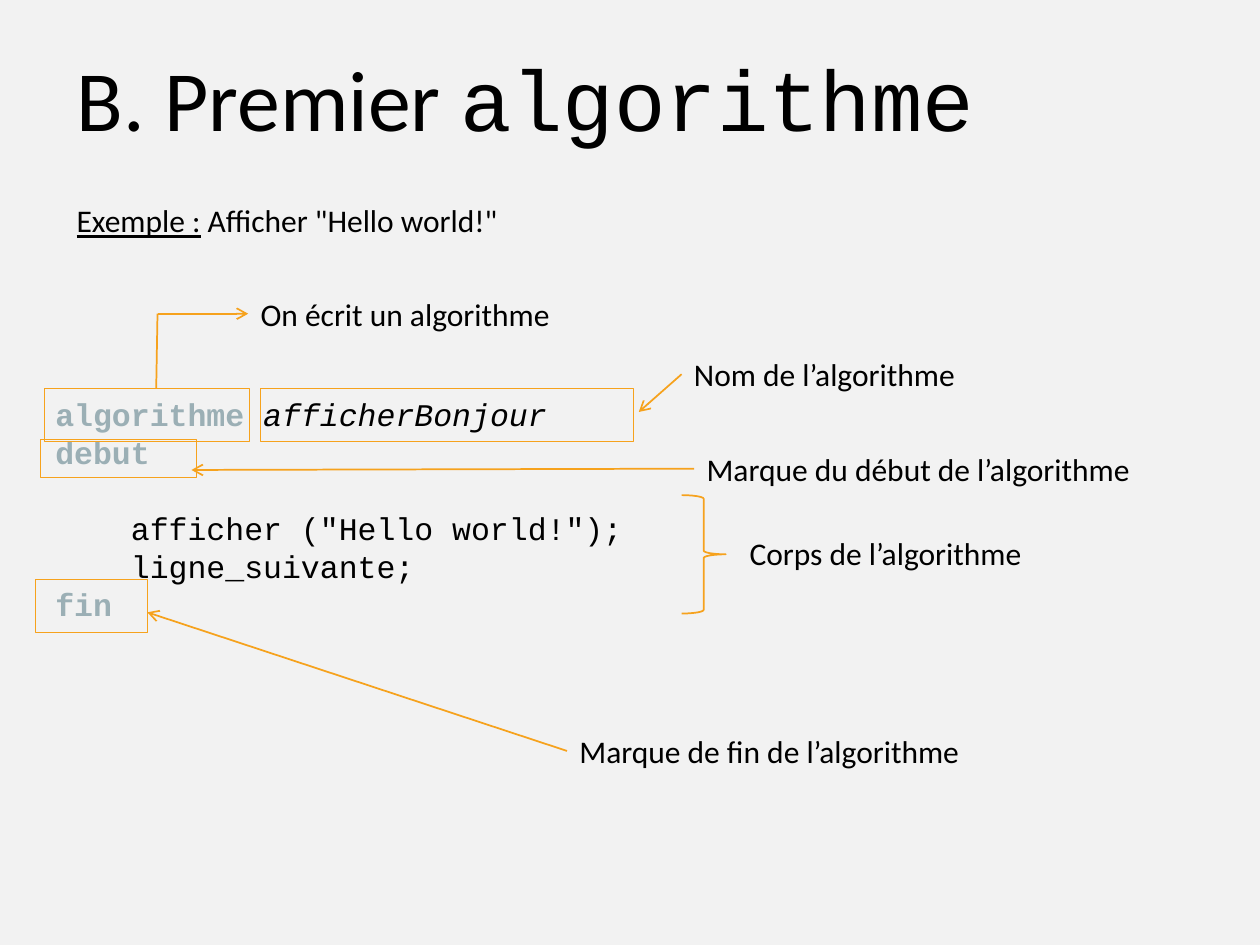
from lxml import etree
from pptx import Presentation
from pptx.dml.color import RGBColor
from pptx.enum.shapes import MSO_CONNECTOR, MSO_SHAPE
from pptx.enum.text import MSO_ANCHOR, MSO_AUTO_SIZE, PP_ALIGN
from pptx.oxml.ns import qn
from pptx.util import Inches, Pt

STRAIGHT = MSO_CONNECTOR.STRAIGHT
RECTANGLE, BRACE = MSO_SHAPE.RECTANGLE, MSO_SHAPE.RIGHT_BRACE
LEFT_SIDE = 1

BACKGROUND = RGBColor(0xF2, 0xF2, 0xF2)
BLACK = RGBColor(0x00, 0x00, 0x00)
KEYWORD = RGBColor(0x9B, 0xAF, 0xB5)
ORANGE = RGBColor(0xF6, 0xA2, 0x1D)
SANS, MONO = "Calibri", "Courier New"
LABEL_HEIGHT = 0.4
CODE_PITCH = Pt(21.8)
CODE_INDENT = Inches(0.6)  # four characters of 18 pt monospace

TITLE = [("B. Premier ", SANS), ("algorithme", MONO)]
EXAMPLE = [("Exemple :", True), (' Afficher "Hello world!"', False)]

# (spans as (text, style), indented, blank line before)
CODE = [
    ([("algorithme ", "keyword"), ("afficherBonjour", "name")], False, False),
    ([("debut", "keyword")], False, False),
    ([('afficher ("Hello world!");', "plain")], True, True),
    ([("ligne_suivante;", "plain")], True, False),
    ([("fin", "keyword")], False, False),
]

# left, top, width, height
FRAMES = [
    (0.35, 3.08, 1.63, 0.42),
    (2.07, 3.08, 2.96, 0.42),
    (0.32, 3.49, 1.24, 0.3),
    (0.28, 4.6, 0.89, 0.42),
]
BODY_BRACE = (5.41, 3.93, 0.35, 0.94)

# text, left, top, width, target of the arrow that leaves the label
LABELS = [
    ("Nom de l’algorithme", 5.41, 2.77, 2.83, (5.07, 3.27)),
    ("Marque du début de l’algorithme", 5.51, 3.52, 4.23, (1.52, 3.73)),
    ("Corps de l’algorithme", 5.85, 4.19, 2.82, None),
    ("Marque de fin de l’algorithme", 4.5, 5.76, 4.23, (1.17, 4.86)),
]
KEYWORD_LABEL = ("On écrit un algorithme", 1.97, 2.29, 3.13)
KEYWORD_START, KEYWORD_CORNER = (1.24, 3.08), (1.25, 2.49)


def add_text_box(page, left, top, width, height, wrap=True):
    box = page.shapes.add_textbox(*map(Inches, (left, top, width, height)))
    box.text_frame.word_wrap = wrap
    return box


def style_paragraph(para, font, size=18):
    para.font.name, para.font.size = font, Pt(size)
    para.font.color.rgb = BLACK


def add_label(page, text, left, top, width):
    box = add_text_box(page, left, top, width, LABEL_HEIGHT)
    para = box.text_frame.paragraphs[0]
    para.text = text
    style_paragraph(para, SANS)
    return box


def add_outline(page, kind, bounds, weight):
    shape = page.shapes.add_shape(kind, *map(Inches, bounds))
    shape.shadow.inherit = False
    shape.fill.background()
    shape.line.color.rgb = ORANGE
    shape.line.width = Pt(weight)


def add_line(page, start, end, arrow=True):
    line = page.shapes.add_connector(STRAIGHT, *map(Inches, (*start, *end)))
    line.line.color.rgb = ORANGE
    line.line.width = Pt(1)
    properties = line.element.spPr
    if arrow:
        etree.SubElement(properties.find(qn("a:ln")), qn("a:tailEnd"), type="arrow")
    etree.SubElement(properties, qn("a:effectLst"))
    return line


def fill_title(title):
    title.left, title.top, title.width, title.height = map(Inches, (0.51, 0.27, 8.99, 1))
    frame = title.text_frame
    frame.auto_size = MSO_AUTO_SIZE.NONE
    frame.vertical_anchor = MSO_ANCHOR.MIDDLE
    para = frame.paragraphs[0]
    para.alignment = PP_ALIGN.LEFT
    style_paragraph(para, SANS, 49)
    for text, font in TITLE:
        span = para.add_run()
        span.text, span.font.name = text, font


def add_example(page):
    box = add_text_box(page, 0.51, 1.55, 3.94, LABEL_HEIGHT, wrap=False)
    para = box.text_frame.paragraphs[0]
    style_paragraph(para, SANS)
    for text, underlined in EXAMPLE:
        span = para.add_run()
        span.text, span.font.underline = text, underlined


def add_code(page):
    frame = add_text_box(page, 0.34, 3.08, 4.75, 1.92, wrap=False).text_frame
    for index, (spans, indented, gap) in enumerate(CODE):
        para = frame.add_paragraph() if index else frame.paragraphs[0]
        style_paragraph(para, MONO)
        para.line_spacing = CODE_PITCH
        if gap:
            para.space_before = CODE_PITCH
        if indented:
            para._p.get_or_add_pPr().set("marL", str(CODE_INDENT))
        for text, style in spans:
            span = para.add_run()
            span.text = text
            if style == "keyword":
                span.font.bold = True
                span.font.color.rgb = KEYWORD
            elif style == "name":
                span.font.italic = True


def add_annotations(page):
    for bounds in FRAMES:
        add_outline(page, RECTANGLE, bounds, 0.5)
    add_outline(page, BRACE, BODY_BRACE, 1)

    for text, left, top, width, target in LABELS:
        label = add_label(page, text, left, top, width)
        if target:
            arrow = add_line(page, (left, top + LABEL_HEIGHT / 2), target)
            arrow.begin_connect(label, LEFT_SIDE)

    label = add_label(page, *KEYWORD_LABEL)
    _, left, top, _ = KEYWORD_LABEL
    add_line(page, KEYWORD_START, KEYWORD_CORNER, arrow=False)
    arrow = add_line(page, KEYWORD_CORNER, (left, top + LABEL_HEIGHT / 2))
    arrow.end_connect(label, LEFT_SIDE)


def main():
    deck = Presentation()
    deck.slide_width, deck.slide_height = Inches(10), Inches(7.5)
    page = deck.slides.add_slide(deck.slide_layouts[5])
    page.background.fill.solid()
    page.background.fill.fore_color.rgb = BACKGROUND
    fill_title(page.shapes.title)
    add_code(page)
    add_example(page)
    add_annotations(page)
    deck.save("out.pptx")


if __name__ == "__main__":
    main()
